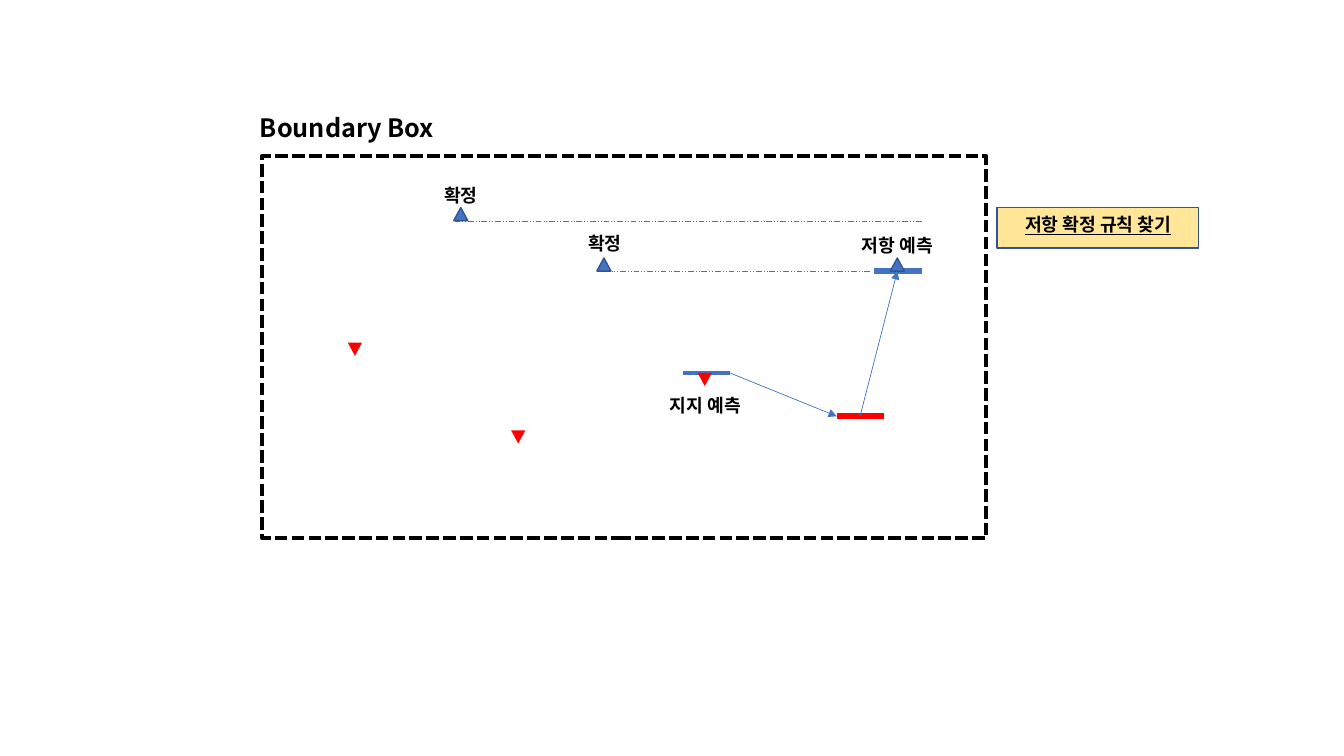
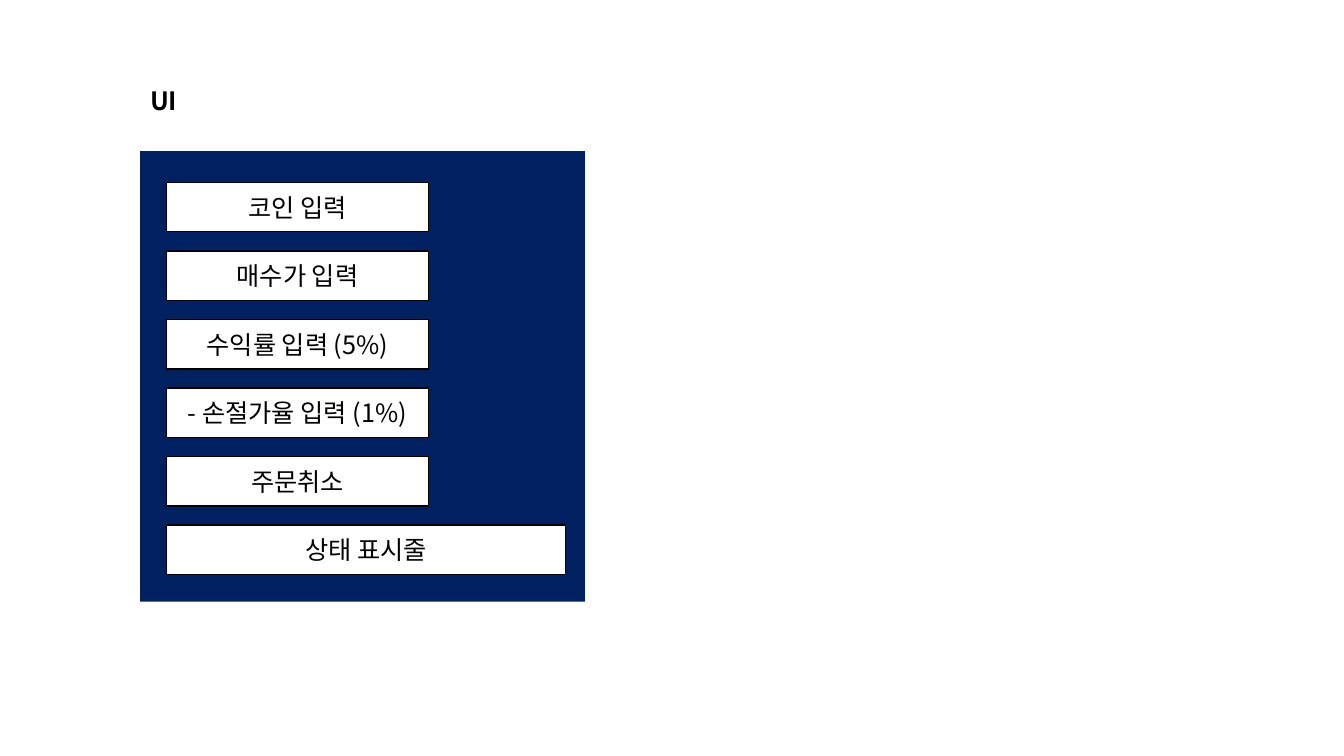
from pptx import Presentation
from pptx.dml.color import RGBColor
from pptx.enum.dml import MSO_LINE
from pptx.enum.shapes import MSO_CONNECTOR, MSO_SHAPE
from pptx.enum.text import MSO_ANCHOR, MSO_AUTO_SIZE, PP_ALIGN
from pptx.oxml.ns import qn
from pptx.util import Inches, Pt
from lxml.etree import SubElement

FONT = "Noto Sans CJK KR"
BLACK, WHITE = "000000", "FFFFFF"
BLUE, DARK_BLUE, NAVY = "4472C4", "325491", "002060"
RED, YELLOW = "FF0000", "FFE699"


def rgb(value):
    """Turn a hex string into a colour."""
    return RGBColor.from_string(value)


def write(frame, text, size, align=PP_ALIGN.CENTER, bold=False, underline=None):
    """Write one styled paragraph into a text frame."""
    frame.word_wrap = True
    frame.text = text
    paragraph = frame.paragraphs[0]
    paragraph.alignment = align
    font = paragraph.runs[0].font
    font.size, font.bold, font.underline = Pt(size), bold, underline
    font.color.rgb = rgb(BLACK)
    font.name = FONT
    SubElement(font._element, qn("a:ea"), typeface=FONT)


def add_label(slide, box, text, size=13, align=PP_ALIGN.CENTER):
    """Add a bold text label."""
    label = slide.shapes.add_textbox(*map(Inches, box))
    write(label.text_frame, text, size, align, bold=True)
    label.text_frame.auto_size = MSO_AUTO_SIZE.SHAPE_TO_FIT_TEXT


def add_title(slide, left, top):
    """Return a writer of the heading at the given place."""
    return lambda text: add_label(slide, (left, top, 1.94, 0.4), text, 18, PP_ALIGN.LEFT)


def add_block(slide, box, fill=None, line=None, width=1, kind=MSO_SHAPE.RECTANGLE):
    """Add a flat preset shape with optional fill and outline."""
    block = slide.shapes.add_shape(kind, *map(Inches, box))
    block.shadow.inherit = False
    if fill:
        block.fill.solid()
        block.fill.fore_color.rgb = rgb(fill)
    else:
        block.fill.background()
    if line:
        block.line.color.rgb = rgb(line)
        block.line.width = Pt(width)
    else:
        block.line.fill.background()
    return block


def add_peak(slide, left, top):
    """Mark a resistance point with an upward triangle."""
    add_block(slide, (left, top, 0.14, 0.13), BLUE, DARK_BLUE,
              kind=MSO_SHAPE.ISOSCELES_TRIANGLE)


def add_trough(slide, left, top):
    """Mark a support point with a downward triangle."""
    trough = add_block(slide, (left, top, 0.14, 0.13), RED,
                       kind=MSO_SHAPE.ISOSCELES_TRIANGLE)
    trough.rotation = 180


def add_line(slide, start, end, color=BLUE, width=0.5, dash=None, arrow=False):
    """Add a straight line, dashed or arrowed on request."""
    line = slide.shapes.add_connector(
        MSO_CONNECTOR.STRAIGHT, *map(Inches, (*start, *end)))
    line.line.color.rgb = rgb(color)
    line.line.width = Pt(width)
    if dash:
        line.line.dash_style = dash
    if arrow:
        SubElement(line.line._get_or_add_ln(), qn("a:tailEnd"), type="triangle")
    SubElement(line._element.spPr, qn("a:effectLst"))


def add_level(slide, left, top, color, width):
    """Add a short horizontal price level."""
    add_line(slide, (left, top), (left + 0.47, top), color, width)


def build_boundary(slide):
    """Draw the boundary box with its support and resistance points."""
    add_level(slide, 6.77, 3.7, BLUE, 2.25)
    add_level(slide, 8.3, 4.13, RED, 4.5)
    add_level(slide, 8.67, 2.69, BLUE, 4.5)
    add_line(slide, (7.24, 3.7), (8.3, 4.13), arrow=True)
    add_line(slide, (8.53, 4.13), (8.9, 2.69), arrow=True)
    for start, end in (((8.63, 2.69), (6.07, 2.69)), ((9.14, 2.2), (4.51, 2.2))):
        add_line(slide, start, end, dash=MSO_LINE.DASH_DOT_DOT)
    for left, top in ((4.5, 2.06), (5.92, 2.56), (8.83, 2.56)):
        add_peak(slide, left, top)
    for left, top in ((3.45, 3.4), (5.07, 4.27), (6.92, 3.7)):
        add_trough(slide, left, top)
    for left, top, width, text in (
        (4.14, 1.78, 0.86, "확정"),
        (5.57, 2.26, 0.86, "확정"),
        (8.39, 2.27, 1.02, "저항 예측"),
        (6.49, 3.86, 1.01, "지지 예측"),
    ):
        add_label(slide, (left, top, width, 0.32), text)
    boundary = add_block(slide, (2.6, 1.55, 7.18, 3.79), line=BLACK, width=3)
    boundary.line.dash_style = MSO_LINE.SQUARE_DOT
    add_title(slide, 2.48, 1.07)("Boundary Box")
    rule = add_block(slide, (9.89, 2.06, 2, 0.4), YELLOW, DARK_BLUE)
    write(rule.text_frame, "저항 확정 규칙 찾기", 13, bold=True, underline=True)
    rule.text_frame.vertical_anchor = MSO_ANCHOR.MIDDLE
    rule.text_frame.margin_bottom = Inches(0.11)


def build_ui(slide):
    """Draw the order panel with its stacked fields."""
    add_title(slide, 1.39, 0.8)("UI")
    add_block(slide, (1.39, 1.5, 4.41, 4.47), NAVY)
    fields = (
        ("코인 입력", 2.6),
        ("매수가 입력", 2.6),
        ("수익률 입력 (5%)", 2.6),
        ("- 손절가율 입력 (1%)", 2.6),
        ("주문취소", 2.6),
        ("상태 표시줄", 3.96),
    )
    for row, (text, width) in enumerate(fields):
        field = add_block(slide, (1.65, 1.81 + row * 0.68, width, 0.49), WHITE, BLACK)
        write(field.text_frame, text, 18)
        field.text_frame.vertical_anchor = MSO_ANCHOR.MIDDLE


def main():
    """Build and save the presentation."""
    deck = Presentation()
    deck.slide_width, deck.slide_height = Inches(13.33), Inches(7.5)
    for build in (build_boundary, build_ui):
        build(deck.slides.add_slide(deck.slide_layouts[6]))
    deck.save("out.pptx")


main()
